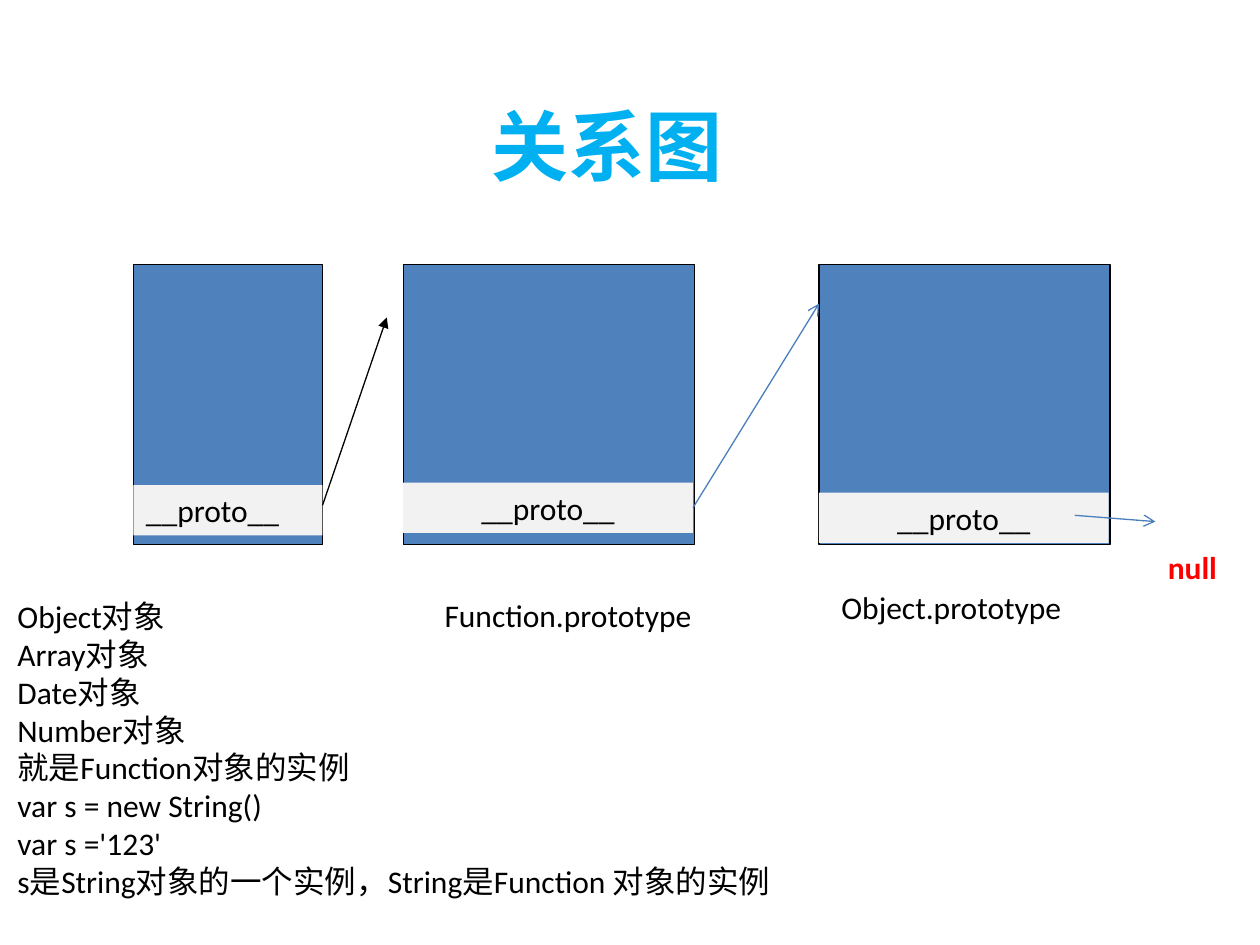
from lxml import etree
from pptx import Presentation
from pptx.dml.color import RGBColor
from pptx.enum import shapes, text
from pptx.oxml.ns import qn
from pptx.util import Inches, Pt

BLACK = RGBColor(0x00, 0x00, 0x00)
RED = RGBColor(0xFF, 0x00, 0x00)
SKY = RGBColor(0x00, 0xB0, 0xF0)
BLUE = RGBColor(0x4F, 0x81, 0xBD)
ARROW_BLUE = RGBColor(0x4B, 0x7E, 0xBC)
GREY = RGBColor(0xF2, 0xF2, 0xF2)

LEFT = text.PP_ALIGN.LEFT
CENTER = text.PP_ALIGN.CENTER

OBJECT_TOP, OBJECT_HEIGHT = 2.1, 2.22
LABEL_HEIGHT = 0.4

# left, width, label top, label width, label alignment
OBJECTS = [
    (1.06, 1.5, 3.85, 1.5, LEFT),
    (3.2, 2.31, 3.83, 2.3, CENTER),
    (6.5, 2.31, 3.91, 2.3, CENTER),
]

NOTES = """Object对象
Array对象
Date对象
Number对象
就是Function对象的实例
var s = new String()
var s ='123'
s是String对象的一个实例，String是Function 对象的实例"""


def write(shape, words, size=18, color=BLACK, bold=False, align=LEFT):
    frame = shape.text_frame
    frame.text = words
    frame.word_wrap = True
    for para in frame.paragraphs:
        para.alignment = align
        for span in para.runs:
            span.font.name = "Calibri"
            span.font.size = Pt(size)
            span.font.bold = bold
            span.font.color.rgb = color


def add_text(page, left, top, width, height, words, **style):
    box = page.shapes.add_textbox(
        Inches(left), Inches(top), Inches(width), Inches(height))
    write(box, words, **style)
    return box


def add_rectangle(page, left, top, width, height, fill, line=None):
    box = page.shapes.add_shape(
        shapes.MSO_SHAPE.RECTANGLE,
        Inches(left), Inches(top), Inches(width), Inches(height))
    box.shadow.inherit = False
    box.fill.solid()
    box.fill.fore_color.rgb = fill
    if line is None:
        box.line.fill.background()
    else:
        box.line.color.rgb = line
        box.line.width = Pt(0.75)
    return box


def add_object(page, left, width, label_top, label_width, align):
    """Draw an object with its __proto__ slot and return the slot."""
    add_rectangle(page, left, OBJECT_TOP, width, OBJECT_HEIGHT, BLUE, BLACK)
    label = add_rectangle(
        page, left, label_top, label_width, LABEL_HEIGHT, GREY)
    write(label, "__proto__", align=align)
    return label


def add_arrow(page, start, end, color, head):
    arrow = page.shapes.add_connector(
        shapes.MSO_CONNECTOR.STRAIGHT,
        *(Inches(length) for length in start + end))
    arrow.line.color.rgb = color
    arrow.line.width = Pt(0.75)
    etree.SubElement(arrow.line._get_or_add_ln(), qn("a:tailEnd"), type=head)
    etree.SubElement(arrow._element.spPr, qn("a:effectLst"))
    return arrow


def main():
    deck = Presentation()
    deck.slide_width, deck.slide_height = Inches(10), Inches(7.5)
    page = deck.slides.add_slide(deck.slide_layouts[6])

    title = add_text(page, -0.12, 0.52, 9.88, 1.25, "关系图",
                     size=44, color=SKY, bold=True, align=CENTER)
    title.text_frame.vertical_anchor = text.MSO_ANCHOR.MIDDLE

    labels = [add_object(page, *item) for item in OBJECTS]

    add_text(page, 0.04, 4.69, 6.18, 2.5, NOTES)
    add_text(page, 3.43, 4.68, 2.27, 0.4, "Function.prototype")
    add_text(page, 6.58, 4.62, 2.24, 0.4, "Object.prototype")
    add_text(page, 9.17, 4.3, 0.74, 0.4, "null", color=RED, bold=True)

    add_arrow(page, (2.56, 4.01), (3.07, 2.52), BLACK, "triangle")
    to_object = add_arrow(page, (5.5, 4.03), (6.5, 2.41), ARROW_BLUE, "arrow")
    to_object.begin_connect(labels[1], 3)
    add_arrow(page, (8.53, 4.09), (9.17, 4.14), ARROW_BLUE, "arrow")

    deck.save("out.pptx")


if __name__ == "__main__":
    main()
